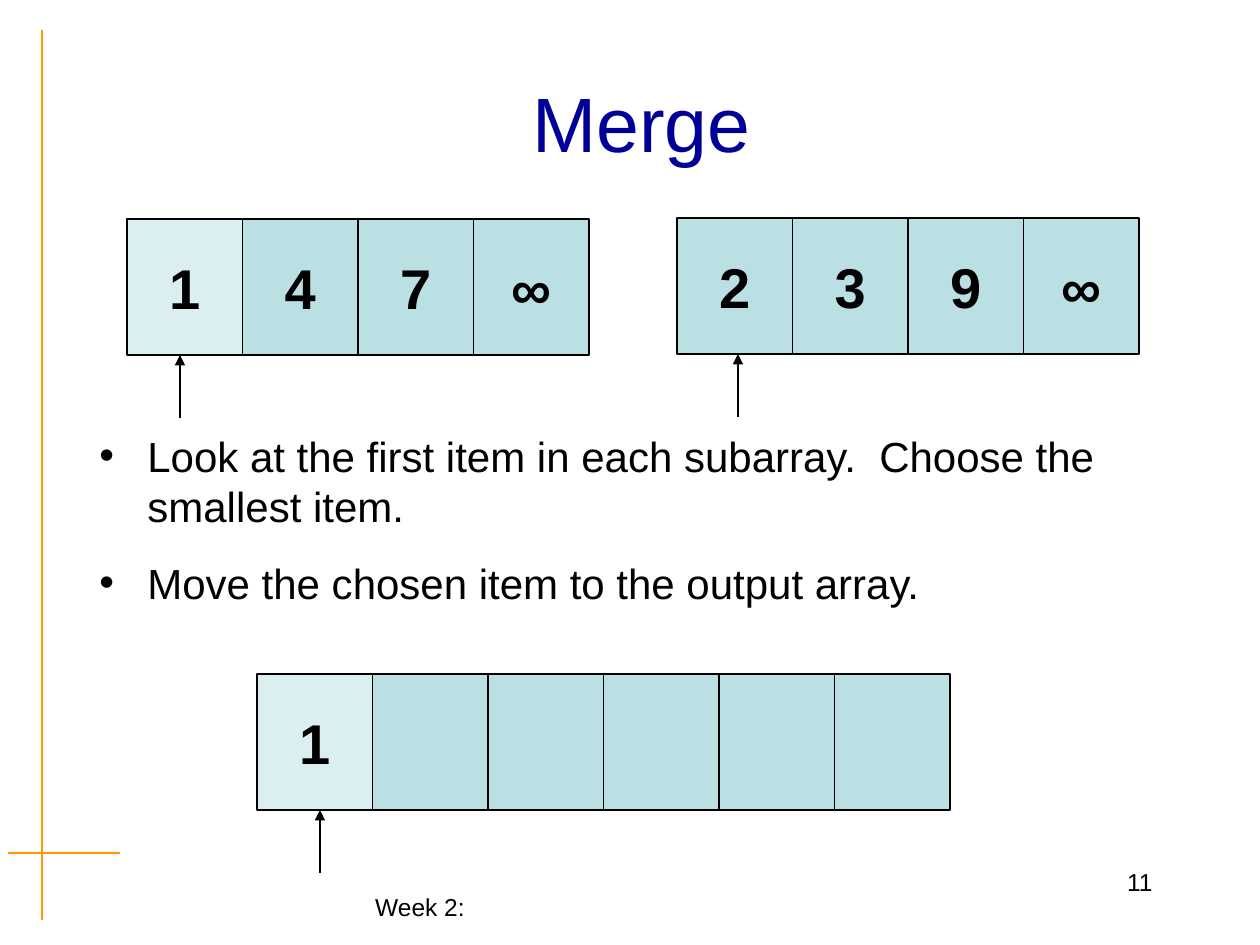
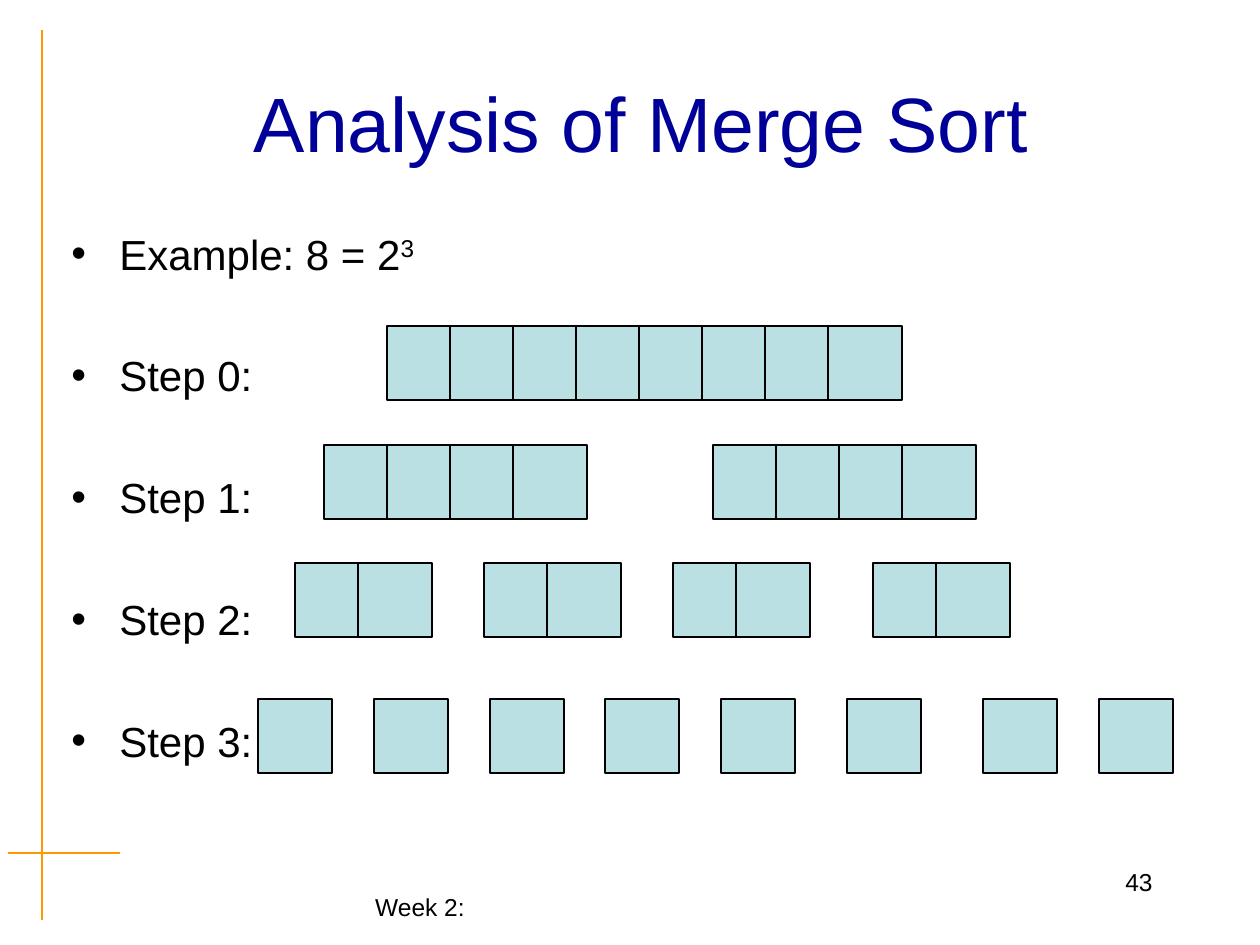
from lxml.etree import SubElement as Sub
from pptx import Presentation
from pptx.dml.color import RGBColor as Rgb
from pptx.enum.shapes import MSO_CONNECTOR as Conn, MSO_SHAPE as Kind
from pptx.enum.text import MSO_ANCHOR as Anchor, PP_ALIGN as Align
from pptx.oxml.ns import qn
from pptx.util import Emu, Pt

SCALE = 914400 / 126  # EMU in one px
FONT = "Arial"
COLORS = {"ink": "000000", "title": "000099", "rule": "FF9900", "cell": "BBE0E3"}
STEPS = [  # top, cells in each part, left edges of the parts
    (326, 8, [387]),
    (445, 4, [324, 713]),
    (563, 2, [295, 484, 673, 873]),
    (699, 1, [258, 374, 490, 605, 721, 847, 983, 1099]),
]


def px(n):
    return Emu(round(n * SCALE))


def hue(name):
    return Rgb.from_string(COLORS[name])


def style(para, size, color="ink", align=Align.LEFT, bold=False):
    para.alignment = align
    font = para.font
    font.name, font.size, font.bold = FONT, Pt(size), bold
    font.color.rgb = hue(color)


def frame(slide, box):
    text = slide.shapes.add_textbox(*map(px, box)).text_frame
    text.word_wrap = True
    return text


def label(slide, box, words, size, align, color="ink", anchor=Anchor.TOP):
    text = frame(slide, box)
    text.vertical_anchor = anchor
    para = text.paragraphs[0]
    para.text = words
    style(para, size, color, align)


def line(slide, ends, color, width, arrow=False):
    link = slide.shapes.add_connector(Conn.STRAIGHT, *map(px, ends))
    link.line.color.rgb = hue(color)
    link.line.width = Pt(width)
    if arrow:
        Sub(link.line._get_or_add_ln(), qn("a:tailEnd"), type="triangle")
    Sub(link._element.spPr, qn("a:effectLst"))


def bullets(slide, box, items, gap):
    """List of items; each item is a list of runs, every second one raised."""
    text = frame(slide, box)
    for i, item in enumerate(items):
        para = text.add_paragraph() if i else text.paragraphs[0]
        for j, words in enumerate(item):
            run = para.add_run()
            run.text = words
            if j % 2:
                run.font._element.set("baseline", "30000")
        style(para, 24)
        para.line_spacing = Pt(28.8)
        para.space_before = Pt(gap)
        props = para._p.get_or_add_pPr()
        props.set("marL", str(px(48)))
        props.set("indent", str(px(-48)))
        mark = Sub(props, qn("a:buFont"), typeface=FONT)
        mark.addnext(Sub(props, qn("a:buChar"), char="•"))
        # Bullet marks must come before the default run settings
        props.append(props.find(qn("a:defRPr")))


def cell(slide, box, value="", faint=False):
    rect = slide.shapes.add_shape(Kind.RECTANGLE, *map(px, box))
    rect.shadow.inherit = False
    rect.fill.solid()
    rect.fill.fore_color.rgb = hue("cell")
    rect.line.color.rgb = hue("ink")
    rect.line.width = Pt(0.75)
    if faint:
        tint = rect._element.spPr.find(qn("a:solidFill"))[0]
        Sub(tint, qn("a:alpha"), val="50000")
    if value:
        text = rect.text_frame
        text.word_wrap = False
        text.vertical_anchor = Anchor.MIDDLE
        para = text.paragraphs[0]
        para.text = value
        style(para, 32, align=Align.CENTER, bold=True)


def array(slide, box, values, shift, taken=False):
    """Row of equal cells with a pointer below, shift px from the left."""
    left, top, width, height = box
    step = width / len(values)
    for i, value in enumerate(values):
        cell(slide, (left + i * step, top, step, height), value, taken and i == 0)
    base = top + height
    line(slide, (left + shift, base + 63, left + shift, base), "ink", 0.75, True)


def base(deck, title, number):
    """Blank slide with the shared rules, footer, number and title."""
    slide = deck.slides.add_slide(deck.slide_layouts[6])
    line(slide, (42, 30, 42, 920), "rule", 1.19)
    line(slide, (8, 853, 120, 853), "rule", 1.19)
    label(slide, (111, 886, 618, 43), "Week 2:", 14, Align.CENTER)
    label(slide, (903, 861, 262, 63), number, 14, Align.RIGHT)
    label(slide, (106, 43, 1071, 157), title, 44, Align.CENTER, "title", Anchor.MIDDLE)
    return slide


def merge(deck):
    slide = base(deck, "Merge", "11")
    bullets(slide, (87, 424, 1071, 200), [
        ["Look at the first item in each subarray.  Choose the smallest item."],
        ["Move the chosen item to the output array."],
    ], 15)
    # Inputs, then output
    array(slide, (677, 218, 462, 136), "239∞", 61)
    array(slide, (127, 219, 462, 136), "147∞", 53, True)
    array(slide, (257, 674, 693, 136), ["1"] + [""] * 5, 63, True)


def analyse(deck):
    slide = base(deck, "Analysis of Merge Sort", "43")
    items = [["Example: 8 = 2", "3"]] + [[f"Step {i}:"] for i in range(len(STEPS))]
    bullets(slide, (59, 222, 1071, 619), items, 40.8)
    # Halved parts, one row for each step
    for top, count, lefts in STEPS:
        for left in lefts:
            for i in range(count):
                cell(slide, (left + i * 63, top, 74, 74))


def main():
    deck = Presentation()
    deck.slide_width, deck.slide_height = px(1260), px(945)
    merge(deck)
    analyse(deck)
    deck.save("out.pptx")


if __name__ == "__main__":
    main()
